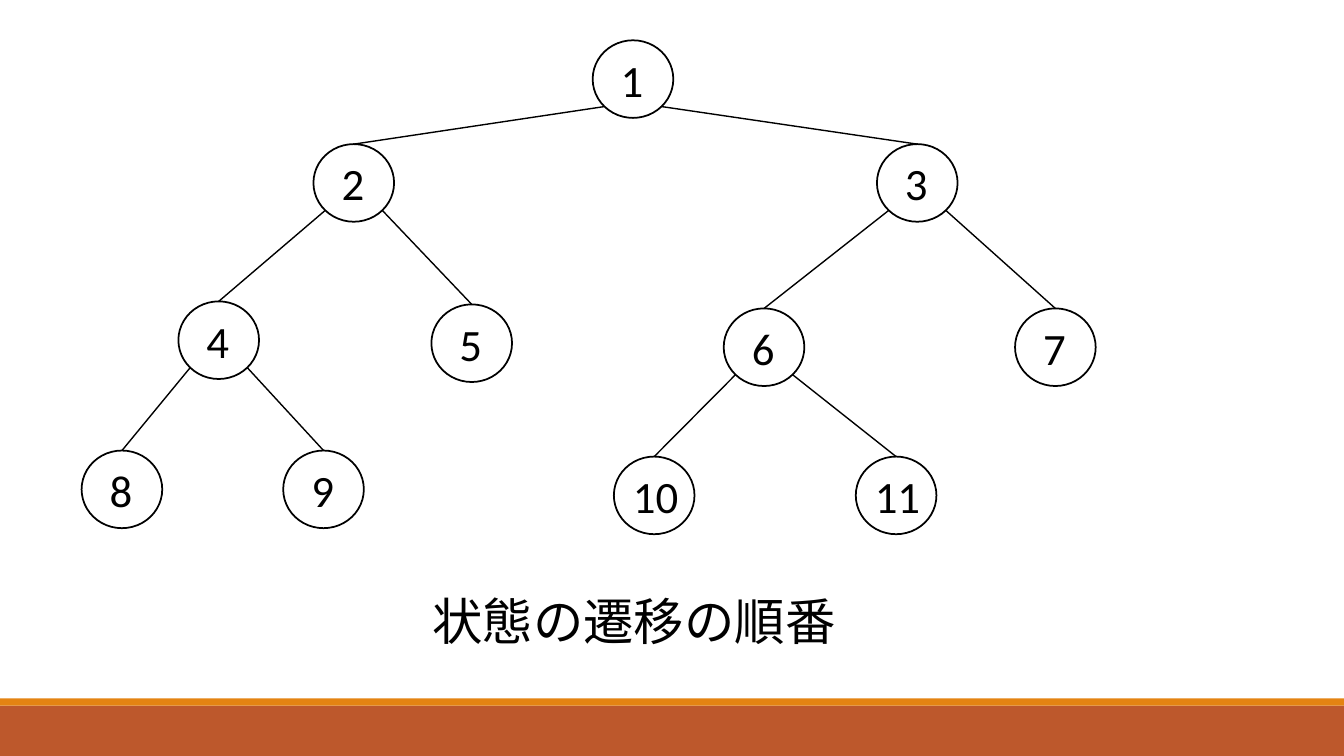
import math

import pptx
import pptx.dml.color
import pptx.enum.shapes
import pptx.enum.text
import pptx.oxml
import pptx.util

GRID = pptx.util.Inches(0.1)
COLUMNS, ROWS = 133.33, 75
FONT = "Calibri"
BLACK, WHITE = "000000", "FFFFFF"
ORANGE, RUST = "E48312", "BD582C"

NODE_WIDTH, NODE_HEIGHT = 8, 7.7
NODES = {
    1: (50.7, 0), 2: (23, 10.3), 3: (78.9, 10.3),
    4: (9.6, 25.9), 5: (34.7, 26.2), 6: (63.7, 26.6), 7: (92.6, 26.6),
    8: (0, 40.7), 9: (20, 40.7), 10: (52.8, 41.3), 11: (76.8, 41.3),
}
CHILDREN = {1: (2, 3), 2: (4, 5), 3: (6, 7), 4: (8, 9), 6: (10, 11)}


def cells(*lengths):
    """Convert grid columns or rows to slide lengths."""
    return [round(length * GRID) for length in lengths]


def color(value):
    """Return the colour of a hex string."""
    return pptx.dml.color.RGBColor.from_string(value)


def add_shape(slide, kind, box, fill, line=None):
    """Add a flat preset shape, outlined only when a line colour is given."""
    shape = slide.shapes.add_shape(kind, *cells(*box))
    shape.shadow.inherit = False
    shape.fill.solid()
    shape.fill.fore_color.rgb = color(fill)
    if line:
        shape.line.color.rgb = color(line)
        shape.line.width = pptx.util.Pt(1.25)
    else:
        shape.line.fill.background()
    return shape


def add_text(slide, text, box, size=32, font=FONT, fill=BLACK):
    """Add a wrapped text box with one formatted run."""
    shape = slide.shapes.add_textbox(*cells(*box))
    frame = shape.text_frame
    frame.word_wrap = True
    frame.auto_size = pptx.enum.text.MSO_AUTO_SIZE.SHAPE_TO_FIT_TEXT
    run = frame.paragraphs[0].add_run()
    run.text = text
    run.font.size = pptx.util.Pt(size)
    run.font.name = font
    run.font.color.rgb = color(fill)


def add_edge(slide, parent, child, side):
    """Join the lower left (-1) or right (1) of a parent to the top of a child."""
    reach = math.sqrt(0.5)
    start_x = parent.left + parent.width * (1 + side * reach) / 2
    start_y = parent.top + parent.height * (1 + reach) / 2
    edge = slide.shapes.add_connector(
        pptx.enum.shapes.MSO_CONNECTOR.STRAIGHT, round(start_x), round(start_y),
        child.left + child.width // 2, child.top)
    edge.end_connect(child, 0)
    edge.line.color.rgb = color(BLACK)
    edge.line.width = pptx.util.Pt(1)
    properties = edge.element.spPr
    properties.append(pptx.oxml.parse_xml(
        '<a:effectLst xmlns:a="http://schemas.openxmlformats.org/drawingml/2006/main"/>'))


def add_tree(slide, left, top):
    """Draw the numbered tree from its upper left corner."""
    oval = pptx.enum.shapes.MSO_SHAPE.OVAL
    circles = {
        number: add_shape(slide, oval, (left + column, top + row, NODE_WIDTH, NODE_HEIGHT),
                          WHITE, BLACK)
        for number, (column, row) in NODES.items()
    }
    for parent, children in CHILDREN.items():
        for child, side in zip(children, (-1, 1)):
            add_edge(slide, circles[parent], circles[child], side)
    for number, (column, row) in NODES.items():
        inset, width = (1.8, 5.7) if number < 10 else (0.9, 7.4)
        add_text(slide, str(number), (left + column + inset, top + row + 0.7, width, 6.4))


def add_footer(slide, top, height, stripe):
    """Draw the footer band with a thin stripe above it."""
    rectangle = pptx.enum.shapes.MSO_SHAPE.RECTANGLE
    add_shape(slide, rectangle, (0, top + stripe, COLUMNS, height - stripe), RUST)
    add_shape(slide, rectangle, (0, top, COLUMNS, stripe), ORANGE)


def main():
    """Build and save the slide."""
    presentation = pptx.Presentation()
    presentation.slide_width, presentation.slide_height = cells(COLUMNS, ROWS)
    slide = presentation.slides.add_slide(presentation.slide_layouts[6])
    add_footer(slide, top=69.3, height=5.7, stripe=0.7)
    add_tree(slide, left=8.1, top=4)
    add_text(slide, "状態の遷移の順番", (41.9, 58.1, 83.6, 7.1), size=36)
    presentation.save("out.pptx")


if __name__ == "__main__":
    main()
